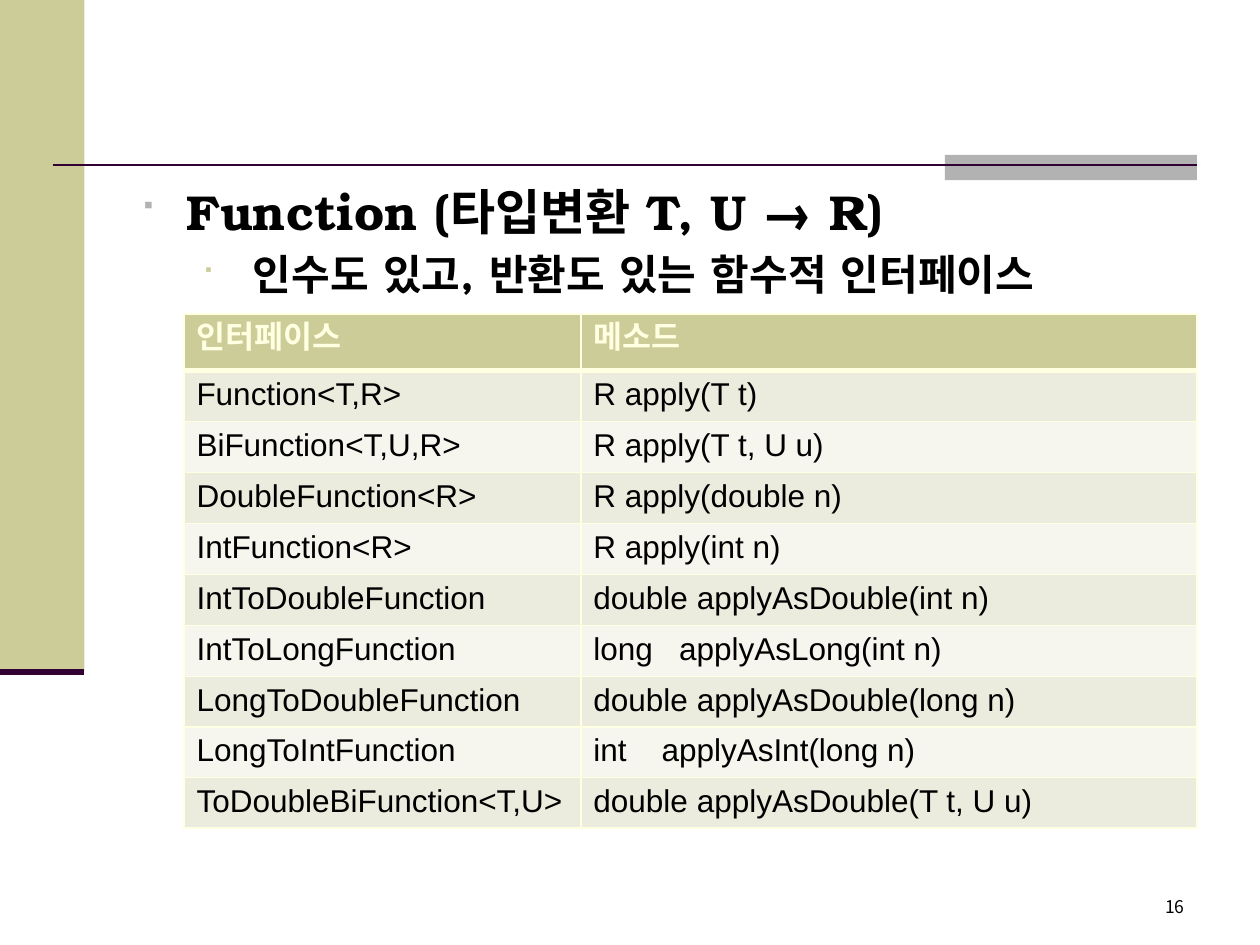
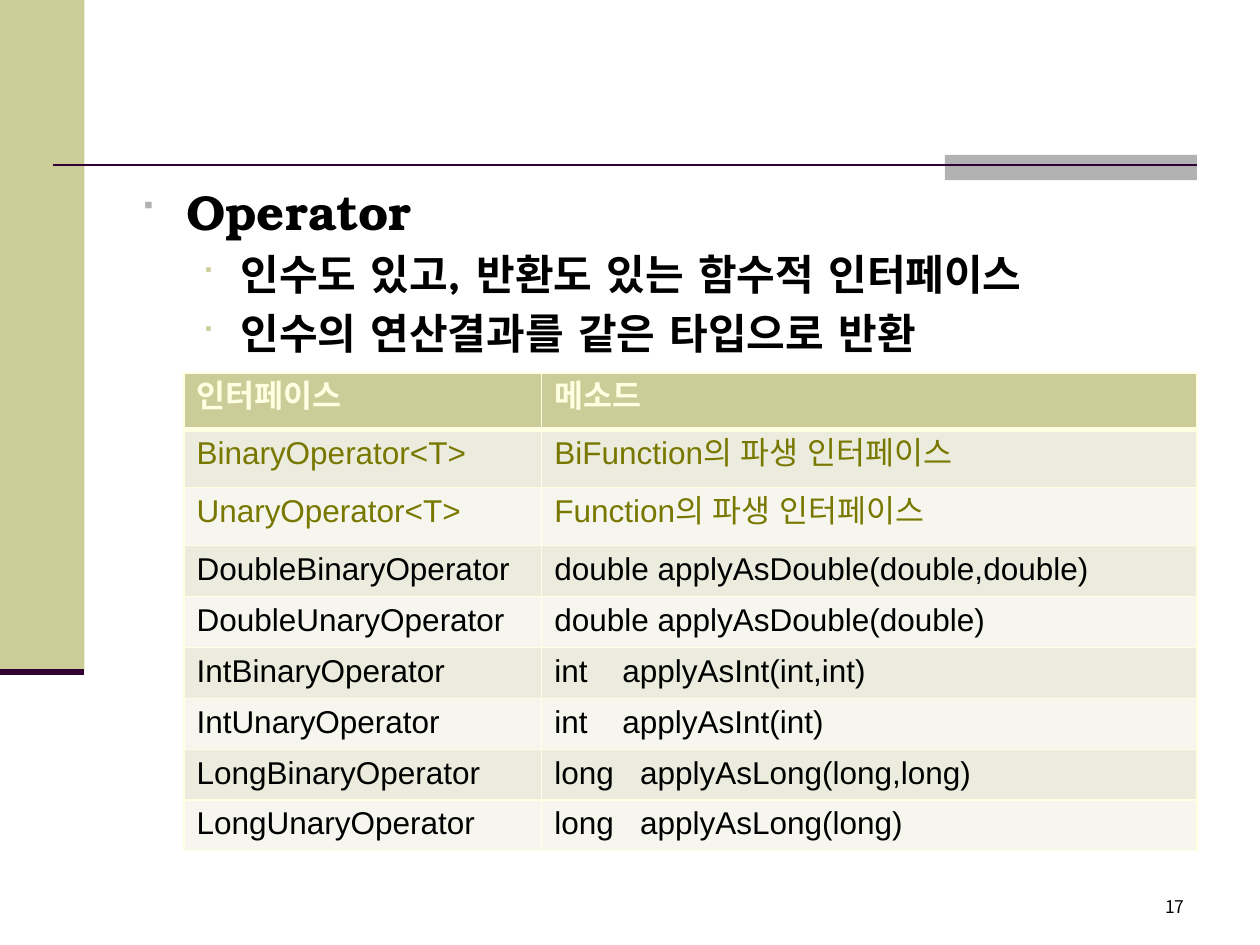
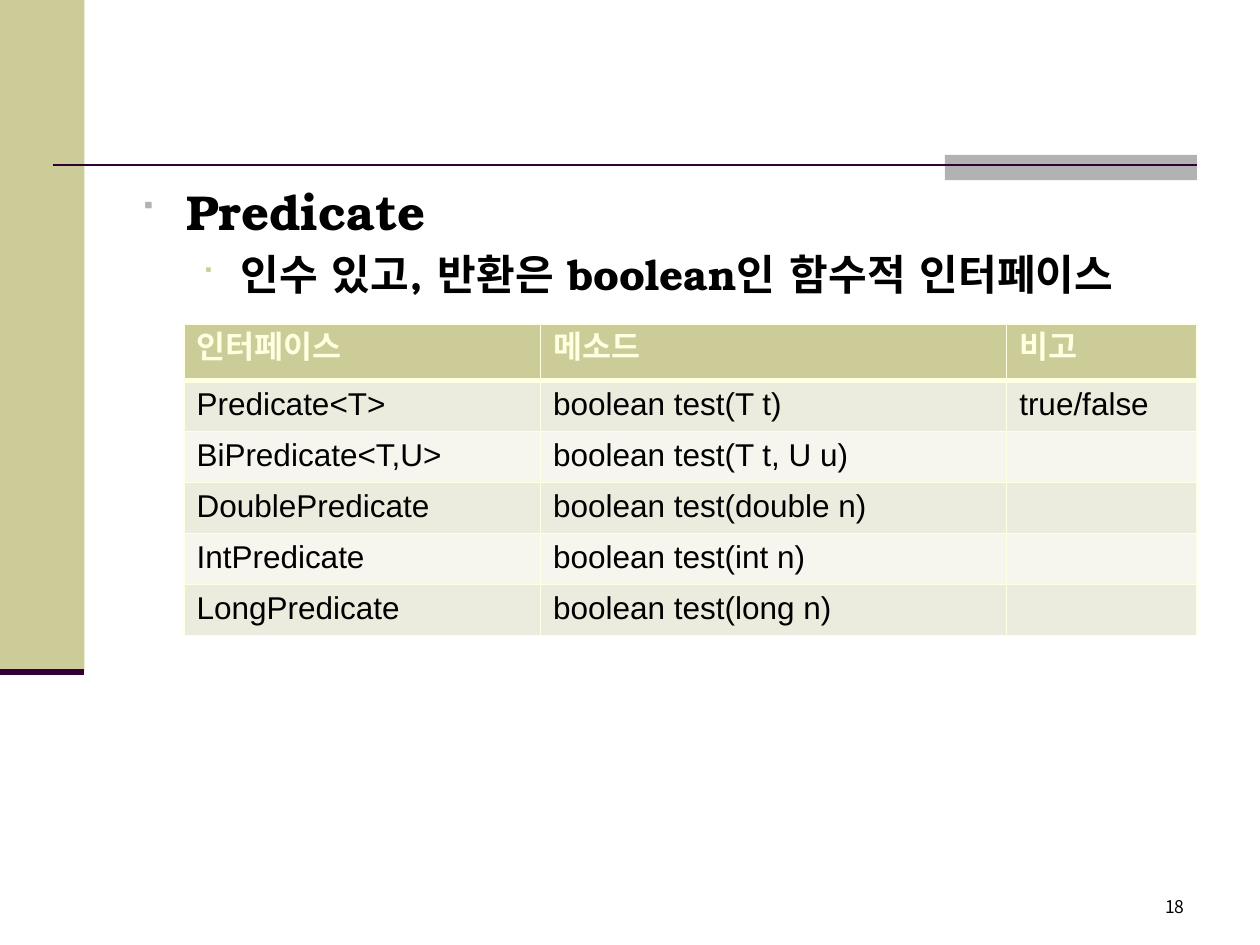
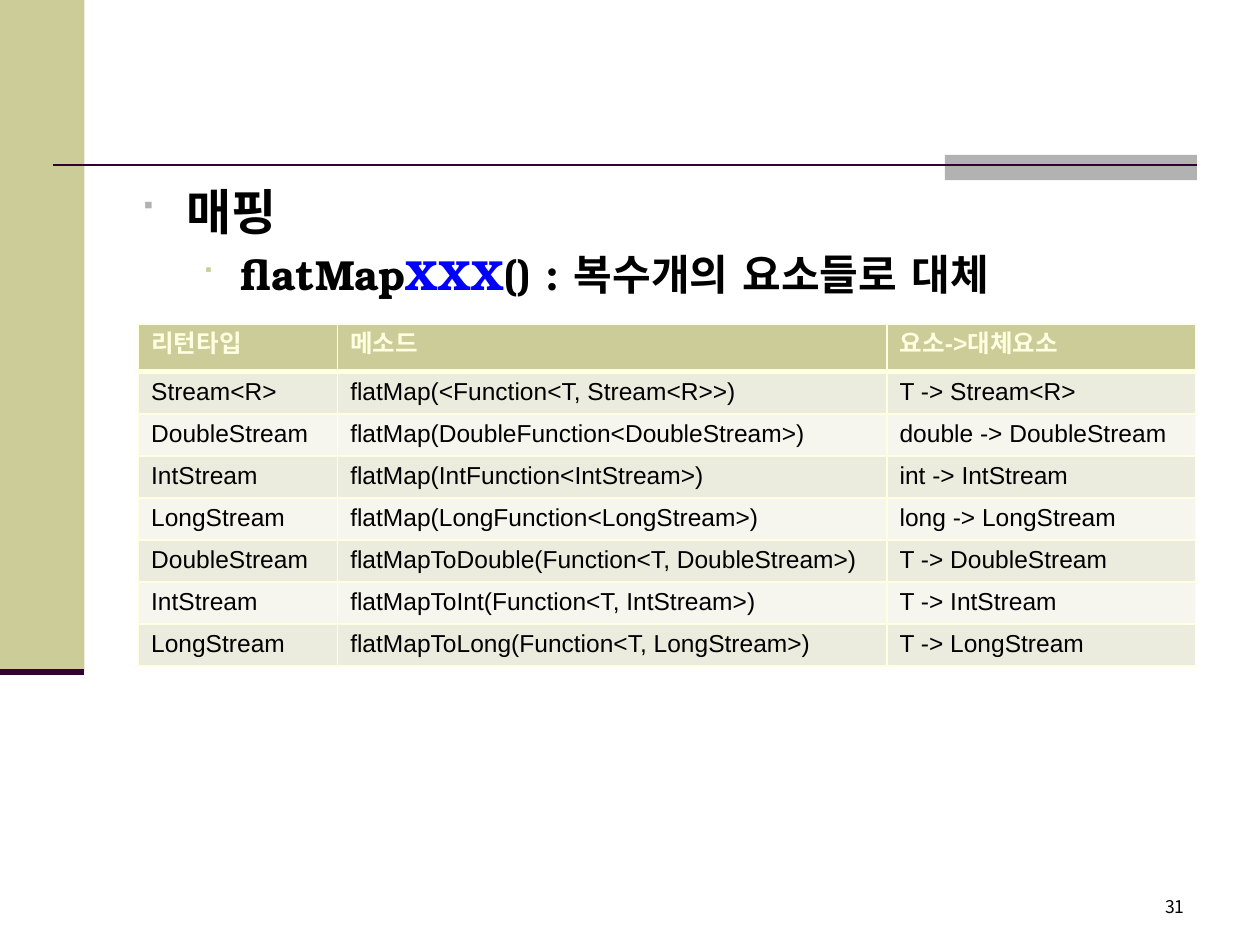
import dataclasses

import pptx
import pptx.dml.color
import pptx.enum.shapes
import pptx.enum.text
import pptx.oxml.ns
import pptx.util
from lxml import etree

Inches = pptx.util.Inches
Pt = pptx.util.Pt
qn = pptx.oxml.ns.qn


@dataclasses.dataclass(frozen=True)
class Theme:
    olive: str = "CCCC99"
    grey: str = "B2B2B2"
    plum: str = "330033"
    cream: str = "FFFFE1"
    black: str = "000000"
    blue: str = "0000FF"
    derived: str = "787800"
    bands: tuple = ("F6F6EF", "ECECDE")
    heading_font: str = "TeX Gyre Bonum"
    table_font: str = "Arial"
    number_font: str = "Noto Sans CJK KR"
    bullet_font: str = "Wingdings"
    heading_size: int = 28
    point_size: int = 24
    table_size: int = 18
    small_table_size: int = 14
    number_size: int = 10


THEME = Theme()
TAB_STOPS = {"int": 0.54, "long": 0.68}
HEADER_ROW = 0.45
KOREAN_ROW = 0.46
CODE_ROW = 2.43 / 6
TIGHT_ROW = 0.38
SMALL_ROW = 0.32


def rgb(color):
    return pptx.dml.color.RGBColor.from_string(color)


def child(parent, tag, **attrs):
    return etree.SubElement(parent, qn(tag), {k: str(v) for k, v in attrs.items()})


class Deck:
    def __init__(self, theme):
        self.theme = theme
        self.prs = pptx.Presentation()
        self.prs.slide_width = Inches(10)
        self.prs.slide_height = Inches(7.5)
        self.slide = None

    def add_slide(self, number):
        t = self.theme
        self.slide = self.prs.slides.add_slide(self.prs.slide_layouts[6])
        self.rect(0, 0, 0.67, 5.33, t.olive)
        self.rect(7.5, 1.23, 2, 0.2, t.grey)
        self.line(0.42, 1.31, 9.5, 1.31, 1.5)
        self.line(0, 5.33, 0.67, 5.33, 3.5)
        p = self.text_box(7.42, 7.06, 2.08, 0.28).paragraphs[0]
        p.alignment = pptx.enum.text.PP_ALIGN.RIGHT
        self.run(p, str(number), t.black, name=t.number_font, size=Pt(t.number_size))

    def rect(self, x, y, w, h, color):
        sp = self.slide.shapes.add_shape(
            pptx.enum.shapes.MSO_SHAPE.RECTANGLE, Inches(x), Inches(y), Inches(w), Inches(h))
        sp.shadow.inherit = False
        sp.fill.solid()
        sp.fill.fore_color.rgb = rgb(color)
        sp.line.fill.background()

    def line(self, x1, y1, x2, y2, width):
        cxn = self.slide.shapes.add_connector(
            pptx.enum.shapes.MSO_CONNECTOR.STRAIGHT,
            Inches(x1), Inches(y1), Inches(x2), Inches(y2))
        cxn.line.color.rgb = rgb(self.theme.plum)
        cxn.line.width = Pt(width)
        child(cxn._element.spPr, "a:effectLst")

    def text_box(self, x, y, w, h):
        tf = self.slide.shapes.add_textbox(Inches(x), Inches(y), Inches(w), Inches(h)).text_frame
        tf.word_wrap = True
        return tf

    def run(self, p, text, color, **fmt):
        r = p.add_run()
        r.text = text
        for name, value in fmt.items():
            setattr(r.font, name, value)
        r.font.color.rgb = rgb(color)
        child(r._r.get_or_add_rPr(), "a:ea", typeface=fmt["name"])

    def bullet(self, p, left, hang, color, percent):
        pPr = p._p.get_or_add_pPr()
        pPr.set("marL", str(Inches(left)))
        pPr.set("indent", str(-Inches(hang)))
        child(child(pPr, "a:buClr"), "a:srgbClr", val=color)
        child(pPr, "a:buSzPct", val=percent * 1000)
        child(pPr, "a:buFont", typeface=self.theme.bullet_font)
        child(pPr, "a:buChar", char="■")

    def body(self, heading, points, extra_indent=0):
        t = self.theme
        tf = self.text_box(1, 1.39, 8.5, 5.59)
        p = tf.paragraphs[0]
        self.bullet(p, 0.38, 0.38, t.grey, 90)
        fmt = {"name": t.heading_font, "bold": True}
        self.run(p, heading, t.black, size=Pt(t.heading_size), **fmt)
        for point in points:
            p = tf.add_paragraph()
            p.level = 1
            self.bullet(p, 0.81 + extra_indent, 0.31 + extra_indent, t.olive, 75)
            p.space_before = Pt(t.point_size * 0.2)
            for text, color in point:
                self.run(p, text, color, size=Pt(t.point_size), **fmt)

    def borders(self, cell, row):
        tcPr = cell._tc.get_or_add_tcPr()
        widths = {"L": 1, "R": 1, "T": 3 if row == 1 else 1, "B": 3 if row == 0 else 1}
        for side, width in widths.items():
            ln = child(tcPr, f"a:ln{side}", w=Pt(width))
            child(child(ln, "a:solidFill"), "a:srgbClr", val=self.theme.cream)

    def cell(self, cell, row, text, color, size):
        t = self.theme
        self.borders(cell, row)
        cell.fill.solid()
        cell.fill.fore_color.rgb = rgb(t.bands[row % 2] if row else t.olive)
        if not text:
            return
        p = cell.text_frame.paragraphs[0]
        if "\t" in text:
            tabs = child(p._p.get_or_add_pPr(), "a:tabLst")
            child(tabs, "a:tab", pos=Inches(TAB_STOPS[text.split("\t")[0]]), algn="l")
        self.run(p, text, color, name=t.table_font, size=Pt(size), bold=row == 0)

    def table(self, x, y, widths, heights, rows, size, derived_rows=()):
        t = self.theme
        table = self.slide.shapes.add_table(
            len(rows), len(widths), Inches(x), Inches(y),
            Inches(sum(widths)), Inches(sum(heights))).table
        table.first_row = table.horz_banding = False
        for col, width in zip(table.columns, widths):
            col.width = Inches(width)
        for i, (height, texts) in enumerate(zip(heights, rows)):
            table.rows[i].height = Inches(height)
            color = t.cream if i == 0 else t.derived if i in derived_rows else t.black
            for j, text in enumerate(texts):
                self.cell(table.cell(i, j), i, text, color, size)


FUNCTIONS = [
    ("인터페이스", "메소드"),
    ("Function<T,R>", "R apply(T t)"),
    ("BiFunction<T,U,R>", "R apply(T t, U u)"),
    ("DoubleFunction<R>", "R apply(double n)"),
    ("IntFunction<R>", "R apply(int n)"),
    ("IntToDoubleFunction", "double applyAsDouble(int n)"),
    ("IntToLongFunction", "long\tapplyAsLong(int n)"),
    ("LongToDoubleFunction", "double applyAsDouble(long n)"),
    ("LongToIntFunction", "int\tapplyAsInt(long n)"),
    ("ToDoubleBiFunction<T,U>", "double applyAsDouble(T t, U u)"),
]
OPERATORS = [
    ("인터페이스", "메소드"),
    ("BinaryOperator<T>", "BiFunction의 파생 인터페이스"),
    ("UnaryOperator<T>", "Function의 파생 인터페이스"),
    ("DoubleBinaryOperator", "double applyAsDouble(double,double)"),
    ("DoubleUnaryOperator", "double applyAsDouble(double)"),
    ("IntBinaryOperator", "int\tapplyAsInt(int,int)"),
    ("IntUnaryOperator", "int\tapplyAsInt(int)"),
    ("LongBinaryOperator", "long\tapplyAsLong(long,long)"),
    ("LongUnaryOperator", "long\tapplyAsLong(long)"),
]
PREDICATES = [
    ("인터페이스", "메소드", "비고"),
    ("Predicate<T>", "boolean test(T t)", "true/false"),
    ("BiPredicate<T,U>", "boolean test(T t, U u)", ""),
    ("DoublePredicate", "boolean test(double n)", ""),
    ("IntPredicate", "boolean test(int n)", ""),
    ("LongPredicate", "boolean test(long n)", ""),
]
FLAT_MAPS = [
    ("리턴타입", "메소드", "요소->대체요소"),
    ("Stream<R>", "flatMap(<Function<T, Stream<R>>)", "T -> Stream<R>"),
    ("DoubleStream", "flatMap(DoubleFunction<DoubleStream>)", "double -> DoubleStream"),
    ("IntStream", "flatMap(IntFunction<IntStream>)", "int -> IntStream"),
    ("LongStream", "flatMap(LongFunction<LongStream>)", "long -> LongStream"),
    ("DoubleStream", "flatMapToDouble(Function<T, DoubleStream>)", "T -> DoubleStream"),
    ("IntStream", "flatMapToInt(Function<T, IntStream>)", "T -> IntStream"),
    ("LongStream", "flatMapToLong(Function<T, LongStream>)", "T -> LongStream"),
]


def main():
    t = THEME
    deck = Deck(t)
    takes_and_returns = [("인수도 있고, 반환도 있는 함수적 인터페이스", t.black)]

    deck.add_slide(16)
    deck.body("Function (타입변환 T, U → R)", [takes_and_returns], extra_indent=0.1)
    deck.table(1.46, 2.49, [3.15, 4.89], [HEADER_ROW] + [CODE_ROW] * 6 + [TIGHT_ROW] * 3,
               FUNCTIONS, t.table_size)

    deck.add_slide(17)
    deck.body("Operator", [takes_and_returns, [("인수의 연산결과를 같은 타입으로 반환", t.black)]])
    deck.table(1.46, 2.96, [2.84, 5.2],
               [HEADER_ROW] + [KOREAN_ROW] * 2 + [CODE_ROW] * 4 + [TIGHT_ROW] * 2,
               OPERATORS, t.table_size, derived_rows=(1, 2))

    deck.add_slide(18)
    deck.body("Predicate", [[("인수 있고, 반환은 boolean인 함수적 인터페이스", t.black)]])
    deck.table(1.46, 2.57, [2.83, 3.7, 1.51], [HEADER_ROW] + [CODE_ROW] * 5,
               PREDICATES, t.table_size)

    deck.add_slide(31)
    deck.body("매핑", [[("flatMap", t.black), ("XXX", t.blue),
                      ("() : 복수개의 요소들로 대체", t.black)]])
    deck.table(1.1, 2.57, [1.58, 4.36, 2.45], [TIGHT_ROW] + [SMALL_ROW] * 7,
               FLAT_MAPS, t.small_table_size)

    deck.prs.save("out.pptx")


if __name__ == "__main__":
    main()
